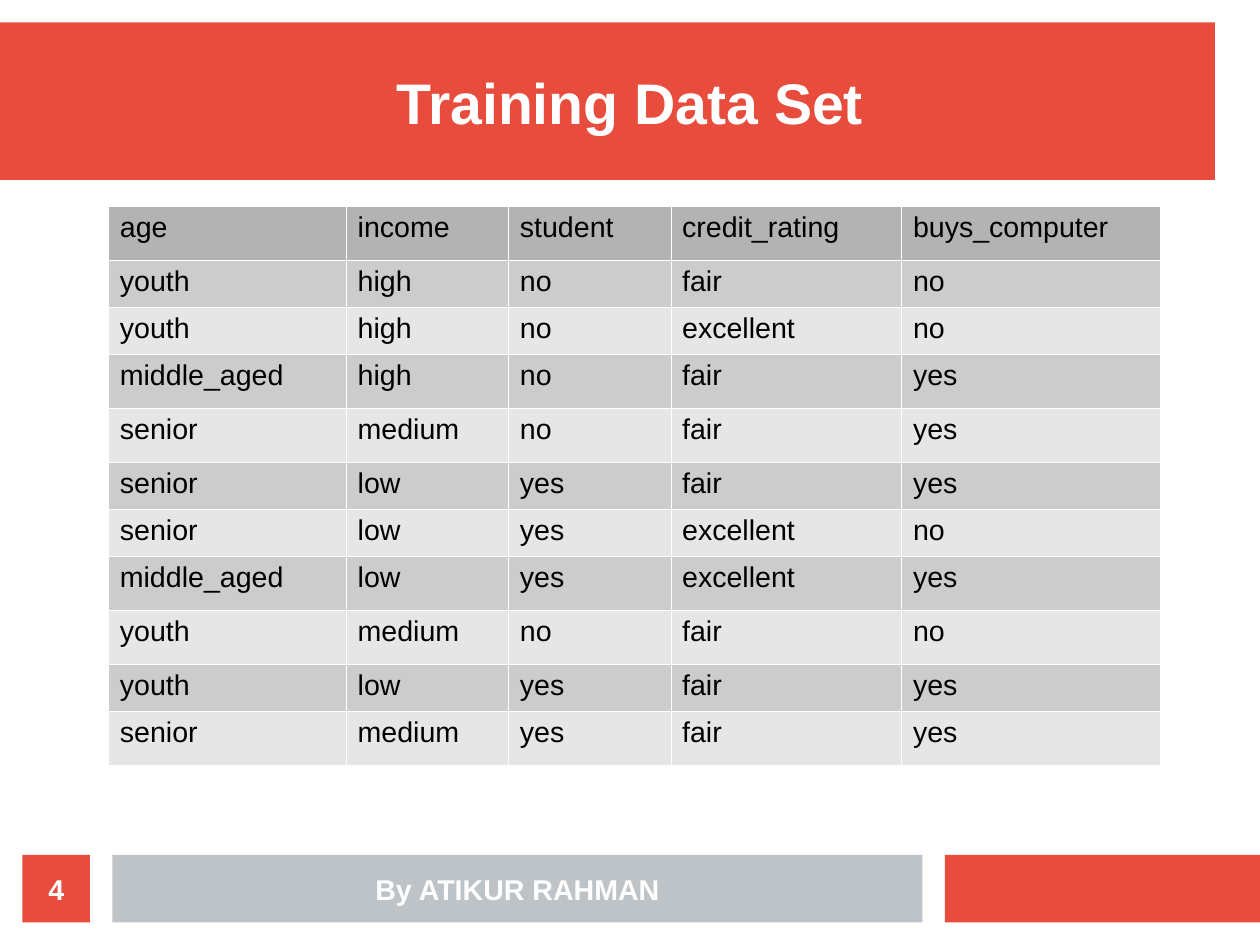
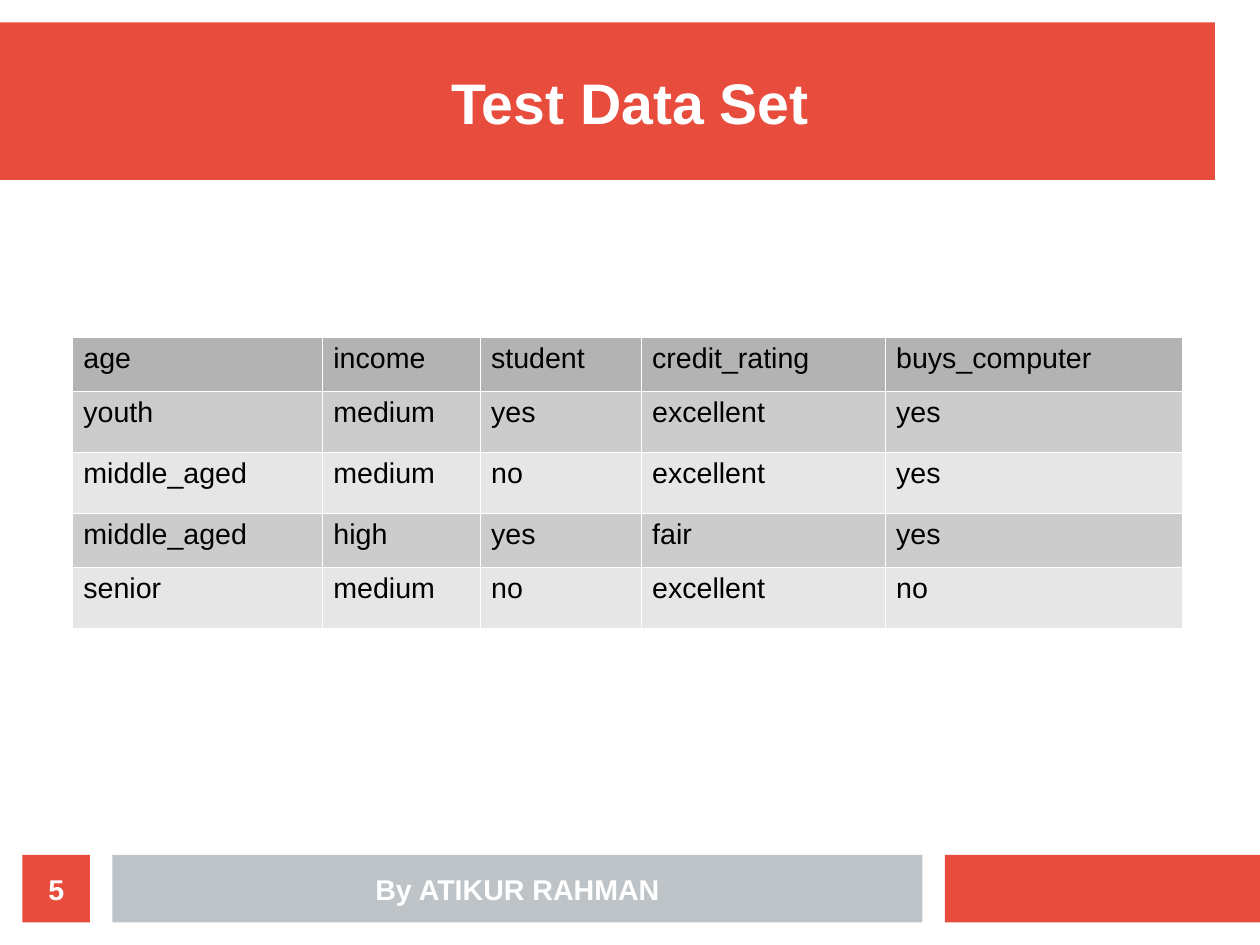
from dataclasses import dataclass

from lxml import etree
from pptx import Presentation
from pptx import util as u
from pptx.dml import color
from pptx.enum import shapes, text
from pptx.oxml import ns

WIDTH, HEIGHT = u.Cm(28), u.Cm(21)
COLUMNS, ROWS = 56, 42
FONT = "Arial"
COLOURS = {
    "accent": "E74C3C",
    "footer": "BDC3C7",
    "light": "FFFFFF",
    "ink": "000000",
    "header": "B3B3B3",
    "odd": "CCCCCC",
    "even": "E6E6E6",
}
FOOTER_TEXT = "By ATIKUR RAHMAN"
BORDER = u.Pt(0.06)
SHORT, MEDIUM, TALL = 2.09, 2.4, 2.71
HEADINGS = ("age", "income", "student", "credit_rating", "buys_computer")


@dataclass(frozen=True)
class Area:
    column: float
    row: float
    columns: float
    rows: float

    def box(self) -> tuple[int, int, int, int]:
        return across(self.column), down(self.row), across(self.columns), down(self.rows)


@dataclass(frozen=True)
class DataSlide:
    number: int
    title: str
    column: float
    row: float
    widths: tuple[float, ...]
    heights: tuple[float, ...]
    records: tuple[str, ...]


TITLE_BAND = Area(0, 1, 54, 7)
TITLE_BOX = Area(9, 2, 38, 5)
FOOTER_END = Area(42, 38, 14, 3)
FOOTER_BAND = Area(5, 38, 36, 3)
NUMBER_BOX = Area(1, 38, 3, 3)

SLIDES = (
    DataSlide(
        4, "Training Data Set", 4.82, 9.16,
        (10.57, 7.21, 7.21, 10.26, 11.48),
        (MEDIUM, SHORT, SHORT, MEDIUM, MEDIUM, SHORT, SHORT, MEDIUM, MEDIUM, SHORT, MEDIUM),
        (
            "youth high no fair no",
            "youth high no excellent no",
            "middle_aged high no fair yes",
            "senior medium no fair yes",
            "senior low yes fair yes",
            "senior low yes excellent no",
            "middle_aged low yes excellent yes",
            "youth medium no fair no",
            "youth low yes fair yes",
            "senior medium yes fair yes",
        ),
    ),
    DataSlide(
        5, "Test Data Set", 3.2, 14.98,
        (11.11, 7.01, 7.16, 10.84, 13.2),
        (MEDIUM, TALL, TALL, MEDIUM, TALL),
        (
            "youth medium yes excellent yes",
            "middle_aged medium no excellent yes",
            "middle_aged high yes fair yes",
            "senior medium no excellent no",
        ),
    ),
)


def across(columns: float) -> int:
    return round(WIDTH * columns / COLUMNS)


def down(rows: float) -> int:
    return round(HEIGHT * rows / ROWS)


def rgb(name: str) -> color.RGBColor:
    return color.RGBColor.from_string(COLOURS[name])


def write(frame, content: str, size: int, ink: str, bold: bool = False) -> None:
    frame.text = content
    for span in frame.paragraphs[0].runs:
        span.font.name = FONT
        span.font.size = u.Pt(size)
        span.font.bold = bold
        span.font.color.rgb = rgb(ink)


def write_centred(frame, content: str, size: int) -> None:
    write(frame, content, size, "light", bold=True)
    frame.word_wrap = True
    frame.vertical_anchor = text.MSO_ANCHOR.MIDDLE
    frame.margin_left = frame.margin_right = frame.margin_top = frame.margin_bottom = 0
    frame.paragraphs[0].alignment = text.PP_ALIGN.CENTER


def add_band(page, area: Area, fill: str, label: str = "") -> None:
    band = page.shapes.add_shape(shapes.MSO_SHAPE.RECTANGLE, *area.box())
    band.shadow.inherit = False
    band.fill.solid()
    band.fill.fore_color.rgb = rgb(fill)
    band.line.fill.background()
    if label:
        write_centred(band.text_frame, label, 18)


def set_borders(cell) -> None:
    properties = cell._tc.get_or_add_tcPr()
    for index, side in enumerate(("lnL", "lnR", "lnT", "lnB")):
        line = etree.Element(ns.qn(f"a:{side}"), w=str(int(BORDER)))
        fill = etree.SubElement(line, ns.qn("a:solidFill"))
        etree.SubElement(fill, ns.qn("a:srgbClr"), val=COLOURS["light"])
        properties.insert(index, line)


def row_fill(index: int) -> str:
    if index == 0:
        return "header"
    return "odd" if index % 2 else "even"


def add_data_table(page, data: DataSlide) -> None:
    records = [HEADINGS, *(record.split() for record in data.records)]
    area = Area(data.column, data.row, sum(data.widths), sum(data.heights))
    table = page.shapes.add_table(len(records), len(HEADINGS), *area.box()).table
    table.first_row = table.horz_banding = False
    for column, width in zip(table.columns, data.widths):
        column.width = across(width)
    for index, (row, height, record) in enumerate(zip(table.rows, data.heights, records)):
        row.height = down(height)
        for cell, value in zip(row.cells, record):
            write(cell.text_frame, value, 18, "ink")
            cell.fill.solid()
            cell.fill.fore_color.rgb = rgb(row_fill(index))
            set_borders(cell)


def add_frame(page, title: str, number: int) -> None:
    add_band(page, TITLE_BAND, "accent")
    add_band(page, FOOTER_END, "accent")
    add_band(page, FOOTER_BAND, "footer", FOOTER_TEXT)
    add_band(page, NUMBER_BOX, "accent", str(number))
    title_box = page.shapes.add_textbox(*TITLE_BOX.box())
    write_centred(title_box.text_frame, title, 36)


def main() -> None:
    deck = Presentation()
    deck.slide_width, deck.slide_height = WIDTH, HEIGHT
    for data in SLIDES:
        page = deck.slides.add_slide(deck.slide_layouts[6])
        add_frame(page, data.title, data.number)
        add_data_table(page, data)
    deck.save("out.pptx")


if __name__ == "__main__":
    main()
